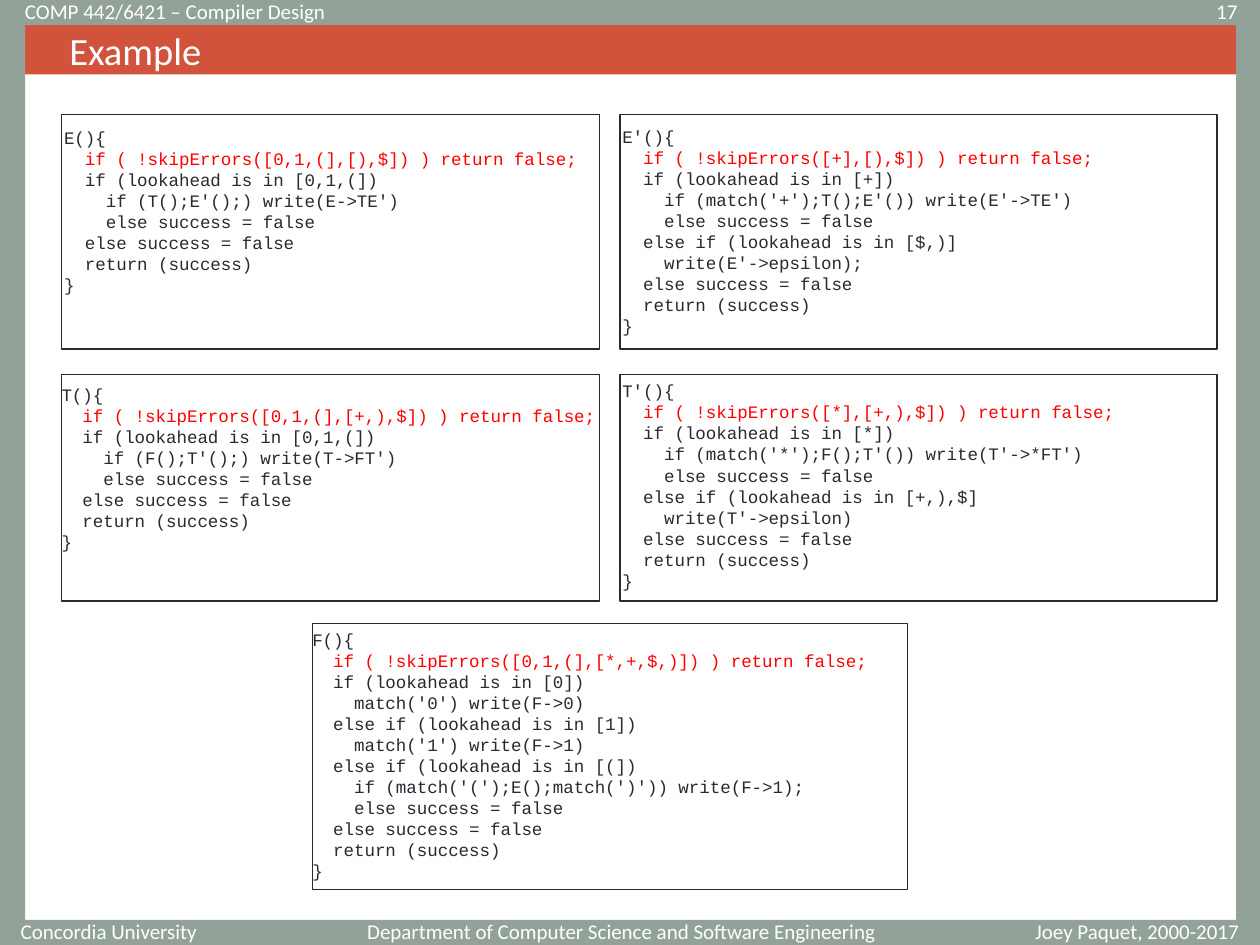
"""Build a slide of recursive-descent parsing functions with error recovery."""
from pptx import Presentation
from pptx.dml import color
from pptx.enum import shapes, text
from pptx.util import Inches, Pt

COLOURS = {"frame": "93A299", "title": "D2533C", "code": "292934",
           "recovery": "FF0000", "light": "FFFFFF"}

BARS = [(0, 0, 10, 0.2), (0, 7.3, 10, 0.2), (0, 0, 0.2, 7.44), (9.81, 0.18, 0.19, 7.32)]

LABELS = [
    ("Concordia University ", 0.03, 7.33, 1.67, text.PP_ALIGN.RIGHT),
    ("Department of Computer Science and Software Engineering", 2.8, 7.33, 4.25,
     text.PP_ALIGN.RIGHT),
    ("17", 8.75, 0.03, 1.17, text.PP_ALIGN.RIGHT),
    ("COMP 442/6421 – Compiler Design", 0.1, 0.03, 5.6, text.PP_ALIGN.LEFT),
    ("Joey Paquet, 2000-2017", 7.99, 7.33, 2.07, text.PP_ALIGN.CENTER),
]

FAILURE = "else success = false"
PROCEDURES = [
    ("E", "[0,1,(],[),$]",
     ["  if (lookahead is in [0,1,(])",
      "    if (T();E'();) write(E->TE')",
      "    " + FAILURE],
     (0.41, 0.96, 4.28, 1.44), (0.49, 0.91, 4.27, 1.86)),
    ("E'", "[+],[),$]",
     ["  if (lookahead is in [+])",
      "    if (match('+');T();E'()) write(E'->TE')",
      "    " + FAILURE,
      "  else if (lookahead is in [$,)]",
      "    write(E'->epsilon);"],
     (4.84, 0.95, 3.95, 1.77), (4.92, 0.91, 4.74, 1.86)),
    ("T", "[0,1,(],[+,),$]",
     ["  if (lookahead is in [0,1,(])",
      "    if (F();T'();) write(T->FT')",
      "    " + FAILURE],
     (0.39, 3, 4.44, 1.61), (0.49, 2.97, 4.27, 1.8)),
    ("T'", "[*],[+,),$]",
     ["  if (lookahead is in [*])",
      "    if (match('*');F();T'()) write(T'->*FT')",
      "    " + FAILURE,
      "  else if (lookahead is in [+,),$]",
      "    write(T'->epsilon)"],
     (4.84, 2.97, 4.11, 1.77), (4.92, 2.97, 4.74, 1.8)),
    ("F", "[0,1,(],[*,+,$,)]",
     ["  if (lookahead is in [0])",
      "    match('0') write(F->0)",
      "  else if (lookahead is in [1])",
      "    match('1') write(F->1)",
      "  else if (lookahead is in [(])",
      "    if (match('(');E();match(')')) write(F->1);",
      "    " + FAILURE],
     (2.38, 4.94, 4.61, 2.11), (2.48, 4.95, 4.72, 2.11)),
]


def rgb(name):
    return color.RGBColor.from_string(COLOURS[name])


def inches(box):
    return [Inches(length) for length in box]


def style(paragraph, font_name, size, colour):
    for run in paragraph.runs:
        run.font.name = font_name
        run.font.size = Pt(size)
        run.font.color.rgb = rgb(colour)


def add_bar(slide, box):
    bar = slide.shapes.add_shape(shapes.MSO_SHAPE.RECTANGLE, *inches(box))
    bar.shadow.inherit = False
    bar.fill.solid()
    bar.fill.fore_color.rgb = rgb("frame")
    bar.line.fill.background()


def add_label(slide, wording, left, top, width, alignment):
    label = slide.shapes.add_textbox(*inches((left, top, width, 0.12)))
    frame = label.text_frame
    frame.word_wrap = True
    frame.vertical_anchor = text.MSO_ANCHOR.MIDDLE
    frame.text = wording
    frame.paragraphs[0].alignment = alignment
    style(frame.paragraphs[0], "Calibri", 12, "light")


def set_title(slide, wording):
    title = slide.shapes.title
    title.left, title.top, title.width, title.height = inches((0.2, 0.2, 9.62, 0.39))
    title.fill.solid()
    title.fill.fore_color.rgb = rgb("title")
    frame = title.text_frame
    frame.text = wording
    frame.auto_size = text.MSO_AUTO_SIZE.NONE
    frame.vertical_anchor = text.MSO_ANCHOR.MIDDLE
    frame.margin_left = Inches(0.35)
    frame.paragraphs[0].alignment = text.PP_ALIGN.LEFT
    style(frame.paragraphs[0], "Calibri", 22, "light")


def add_procedure(slide, name, sync_sets, body, code_box, border_box):
    group = slide.shapes.add_group_shape()
    code = group.shapes.add_textbox(*inches(code_box)).text_frame
    code.word_wrap = False
    code.auto_size = text.MSO_AUTO_SIZE.SHAPE_TO_FIT_TEXT
    recovery = f"  if ( !skipErrors({sync_sets[:0]}{sync_sets}) ) return false;"
    recovery = f"  if ( !skipErrors({sync_sets}) ) return false;"
    code.text = "\n".join([name + "(){", recovery, *body,
                           "  " + FAILURE, "  return (success)", "}"])
    for line in code.paragraphs:
        style(line, "Courier New", 10, "recovery" if line.text == recovery else "code")

    border = group.shapes.add_shape(shapes.MSO_SHAPE.RECTANGLE, *inches(border_box))
    border.shadow.inherit = False
    border.fill.background()
    border.line.color.rgb = rgb("code")
    border.line.width = Pt(0.75)


def main():
    deck = Presentation()
    deck.slide_width, deck.slide_height = Inches(10), Inches(7.5)
    slide = deck.slides.add_slide(deck.slide_layouts[5])
    for bar_box in BARS:
        add_bar(slide, bar_box)
    set_title(slide, "Example")
    for label in LABELS:
        add_label(slide, *label)
    for procedure in PROCEDURES:
        add_procedure(slide, *procedure)
    deck.save("out.pptx")


if __name__ == "__main__":
    main()
